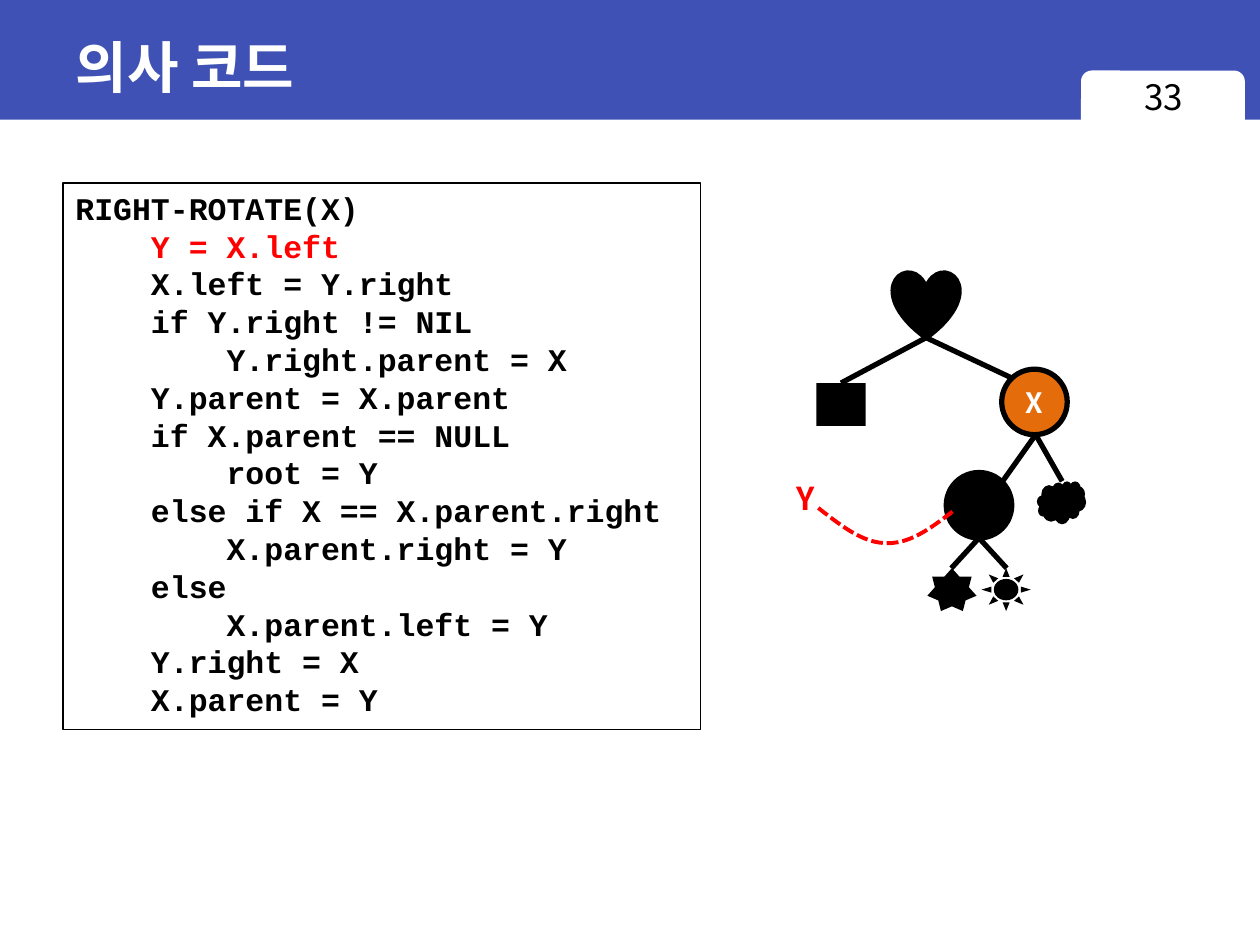
from lxml import etree
from pptx import Presentation
from pptx.dml.color import RGBColor
from pptx.enum.dml import MSO_LINE
from pptx.enum.shapes import MSO_CONNECTOR, MSO_SHAPE
from pptx.enum.text import MSO_ANCHOR, PP_ALIGN
from pptx.oxml.ns import qn
from pptx.util import Inches, Pt

BLUE = RGBColor(0x3F, 0x51, 0xB5)
ORANGE = RGBColor(0xE4, 0x6C, 0x0A)
RED = RGBColor(0xFF, 0x00, 0x00)
BLACK = RGBColor(0x00, 0x00, 0x00)
WHITE = RGBColor(0xFF, 0xFF, 0xFF)
KOREAN_FONT = "Noto Sans CJK KR"
LEFT, CENTER = PP_ALIGN.LEFT, PP_ALIGN.CENTER
TOP, MIDDLE = MSO_ANCHOR.TOP, MSO_ANCHOR.MIDDLE

prs = Presentation()
prs.slide_width, prs.slide_height = Inches(10), Inches(7.5)
slide = prs.slides.add_slide(prs.slide_layouts[5])


def add_box(preset, left, top, width, height, fill=None, line_width=None):
    """Add a preset shape with no shadow, and a black outline if it has a width."""
    box = slide.shapes.add_shape(
        preset, Inches(left), Inches(top), Inches(width), Inches(height))
    box.shadow.inherit = False
    if fill is None:
        box.fill.background()
    else:
        box.fill.solid()
        box.fill.fore_color.rgb = fill
    if line_width is None:
        box.line.fill.background()
    else:
        box.line.color.rgb = BLACK
        box.line.width = Pt(line_width)
    return box


def write(paragraph, text, color, align=LEFT, **font_values):
    paragraph.alignment = align
    run = paragraph.add_run()
    run.text = text
    run.font.color.rgb = color
    for key, value in font_values.items():
        setattr(run.font, key, value)


# Header: band and page tab lie behind the title
band = add_box(MSO_SHAPE.RECTANGLE, 0, 0, 10, 0.95, BLUE)
page_tab = add_box(MSO_SHAPE.ROUNDED_RECTANGLE, 8.58, 0.56, 1.3, 0.51, WHITE)
title = slide.shapes.title
for backdrop in (band, page_tab):
    title.element.addprevious(backdrop.element)
title.left, title.top = Inches(0.5), Inches(0.11)
title.width, title.height = Inches(9), Inches(0.83)
title.text_frame.vertical_anchor = MIDDLE
write(title.text_frame.paragraphs[0], "의사 코드", WHITE,
      name="Arial", size=Pt(32), bold=True)

page_number = slide.shapes.add_textbox(
    Inches(8.58), Inches(0.55), Inches(1.31), Inches(0.52))
page_number.text_frame.word_wrap = True
write(page_number.text_frame.paragraphs[0], "33", BLACK, CENTER,
      name=KOREAN_FONT, size=Pt(20))

# Pseudocode
CODE = """RIGHT-ROTATE(X)
    Y = X.left
    X.left = Y.right
    if Y.right != NIL
        Y.right.parent = X
    Y.parent = X.parent
    if X.parent == NULL
        root = Y
    else if X == X.parent.right
        X.parent.right = Y
    else
        X.parent.left = Y
    Y.right = X
    X.parent = Y"""
CURRENT_LINE = 1

code_frame = add_box(MSO_SHAPE.RECTANGLE, 0.5, 1.45, 5.06, 4.34, line_width=1).text_frame
code_frame.vertical_anchor = TOP
for number, code_line in enumerate(CODE.split("\n")):
    paragraph = code_frame.paragraphs[0] if number == 0 else code_frame.add_paragraph()
    write(paragraph, code_line, RED if number == CURRENT_LINE else BLACK,
          name="Courier New", size=Pt(18), bold=True)

# Tree: large nodes are outlined, subtrees are small plain shapes
NODE = 0.52
SUBTREE_WIDTH, SUBTREE_HEIGHT = 0.39, 0.34

left_subtree = None
for preset, left, top in (
    (MSO_SHAPE.RECTANGLE, 6.48, 3.04),
    (MSO_SHAPE.CLOUD, 8.23, 3.82),
    (MSO_SHAPE.STAR_7_POINT, 7.36, 4.51),
    (MSO_SHAPE.SUN, 7.79, 4.51),
):
    subtree = add_box(preset, left, top, SUBTREE_WIDTH, SUBTREE_HEIGHT, BLACK)
    left_subtree = left_subtree or subtree

add_box(MSO_SHAPE.HEART, 7.09, 2.16, NODE, NODE, BLACK, 3)
node_x = add_box(MSO_SHAPE.OVAL, 7.95, 2.93, NODE, NODE, ORANGE, 3)
add_box(MSO_SHAPE.OVAL, 7.51, 3.75, NODE, NODE, BLACK, 3)

x_frame = node_x.text_frame
x_frame.margin_left = x_frame.margin_right = 0
x_frame.vertical_anchor = MIDDLE
write(x_frame.paragraphs[0], "X", WHITE, CENTER,
      name=KOREAN_FONT, size=Pt(16), bold=True)

ROOT_BOTTOM, X_BOTTOM, Y_BOTTOM = (7.35, 2.68), (8.22, 3.45), (7.77, 4.27)
for parent, child, joined in (
    (ROOT_BOTTOM, (6.68, 3.04), left_subtree),
    (ROOT_BOTTOM, (8.03, 3.0), None),
    (X_BOTTOM, (7.95, 3.83), None),
    (X_BOTTOM, (8.43, 3.82), None),
    (Y_BOTTOM, (7.55, 4.51), None),
    (Y_BOTTOM, (7.99, 4.51), None),
):
    edge = slide.shapes.add_connector(
        MSO_CONNECTOR.STRAIGHT, *(Inches(value) for value in parent + child))
    edge.line.color.rgb = BLACK
    edge.line.width = Pt(3)
    etree.SubElement(edge.element.spPr, qn("a:effectLst"))
    if joined is not None:
        edge.end_connect(joined, 0)

# Pointer Y with its dashed curve
y_label = slide.shapes.add_textbox(Inches(6.22), Inches(3.75), Inches(0.35), Inches(0.4))
y_label.text_frame.word_wrap = False
write(y_label.text_frame.paragraphs[0], "Y", RED,
      name=KOREAN_FONT, size=Pt(18), bold=True)

BEZIERS = (
    ((7.56, 4.06), (7.39, 4.19), (7.22, 4.32), (7.03, 4.31)),
    ((7.03, 4.31), (6.85, 4.31), (6.67, 4.17), (6.48, 4.02)),
)
STEPS = 12
curve_points = []
for bezier in BEZIERS:
    for step in range(1, STEPS + 1):
        t = step / STEPS
        weights = ((1 - t) ** 3, 3 * t * (1 - t) ** 2, 3 * t ** 2 * (1 - t), t ** 3)
        curve_points.append(tuple(
            Inches(sum(w * point[axis] for w, point in zip(weights, bezier)))
            for axis in (0, 1)))

start_x, start_y = BEZIERS[0][0]
builder = slide.shapes.build_freeform(Inches(start_x), Inches(start_y))
builder.add_line_segments(curve_points, close=False)
pointer = builder.convert_to_shape()
pointer.shadow.inherit = False
pointer.fill.background()
pointer.line.color.rgb = RED
pointer.line.width = Pt(2.25)
pointer.line.dash_style = MSO_LINE.SQUARE_DOT

prs.save("out.pptx")
